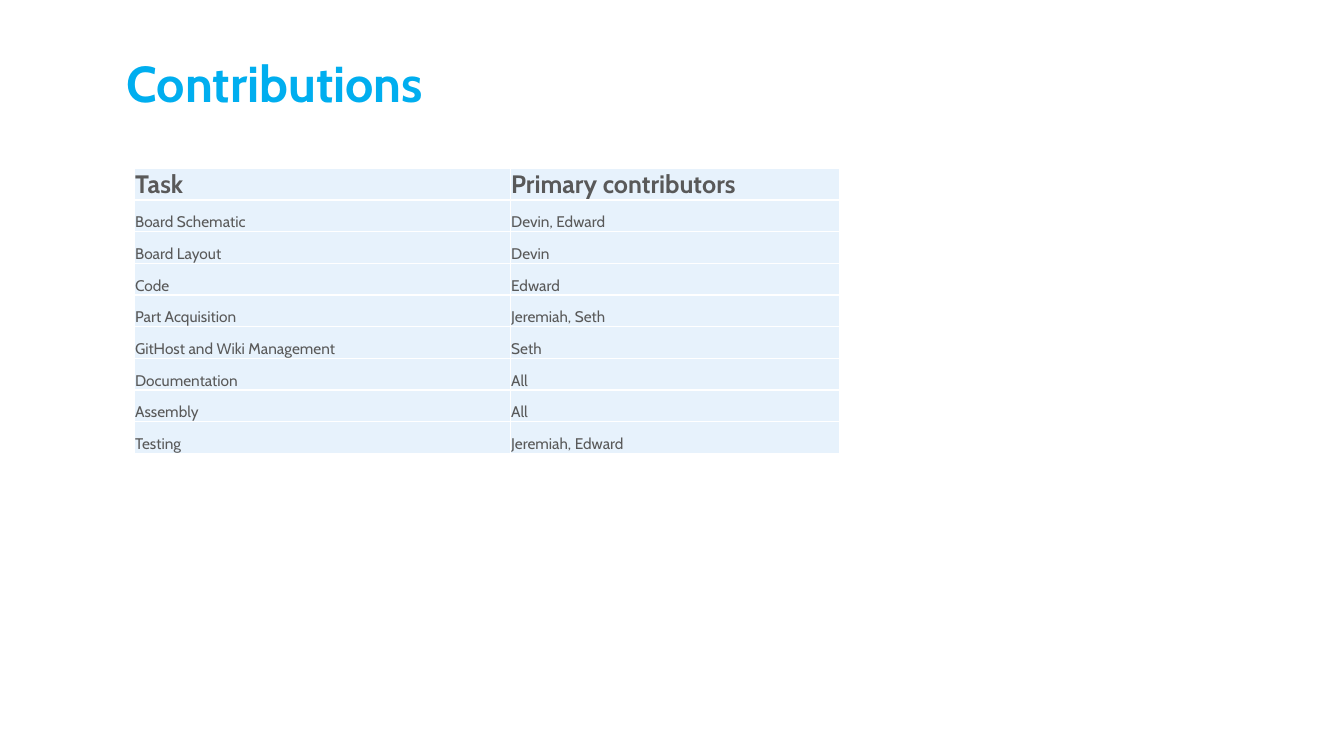
import pptx
import pptx.util
import pptx.dml.color
import pptx.enum.text
import pptx.oxml
import pptx.oxml.ns

Inches, Pt = pptx.util.Inches, pptx.util.Pt
RGBColor = pptx.dml.color.RGBColor
Anchor = pptx.enum.text.MSO_ANCHOR

# Content
TITLE = "Contributions"
ROWS = [
    ("Task", "Primary contributors"),
    ("Board Schematic", "Devin, Edward"),
    ("Board Layout", "Devin"),
    ("Code", "Edward"),
    ("Part Acquisition", "Jeremiah, Seth"),
    ("GitHost and Wiki Management", "Seth"),
    ("Documentation", "All"),
    ("Assembly", "All"),
    ("Testing", "Jeremiah, Edward"),
]

# Style
FONT = "Cabin"
BLUE = RGBColor(0x00, 0xAE, 0xEF)
GRAY = RGBColor(0x59, 0x59, 0x59)
PALE = RGBColor(0xE7, 0xF2, 0xFC)
WHITE = RGBColor(0xFF, 0xFF, 0xFF)
WIDTHS = (3.73, 3.27)
HEIGHT = 2.83


def style(para, size, color, bold):
    font = para.font
    font.name, font.size, font.bold = FONT, Pt(size), bold
    font.color.rgb = color


def add_edges(cell):
    props = cell._tc.get_or_add_tcPr()
    for side in "LRTB":
        props.append(pptx.oxml.parse_xml(
            f'<a:ln{side} {pptx.oxml.ns.nsdecls("a")} w="{Pt(1)}"><a:solidFill>'
            f'<a:srgbClr val="{WHITE}"/></a:solidFill></a:ln{side}>'))


def add_title(slide):
    box = slide.shapes.add_textbox(Inches(1.16), Inches(0.58), Inches(9.5), Inches(0.92))
    frame = box.text_frame
    frame.word_wrap = True
    frame.text = TITLE
    para = frame.paragraphs[0]
    para.line_spacing = 0.8
    style(para, 36, BLUE, True)


def add_tasks(slide):
    table = slide.shapes.add_table(
        len(ROWS), len(WIDTHS), Inches(1.33), Inches(1.67),
        Inches(sum(WIDTHS)), Inches(HEIGHT)).table
    for col, width in zip(table.columns, WIDTHS):
        col.width = Inches(width)
    for r, texts in enumerate(ROWS):
        for c, text in enumerate(texts):
            cell = table.cell(r, c)
            cell.text = text
            cell.vertical_anchor = Anchor.BOTTOM
            cell.margin_left = cell.margin_right = cell.margin_top = Inches(0.01)
            cell.margin_bottom = 0
            style(cell.text_frame.paragraphs[0], 11 if r else 18, GRAY, r == 0)
            add_edges(cell)
            cell.fill.solid()
            cell.fill.fore_color.rgb = PALE


def main():
    deck = pptx.Presentation()
    deck.slide_width, deck.slide_height = Inches(13.33), Inches(7.5)
    slide = deck.slides.add_slide(deck.slide_layouts[6])
    add_title(slide)
    add_tasks(slide)
    deck.save("out.pptx")


if __name__ == "__main__":
    main()
